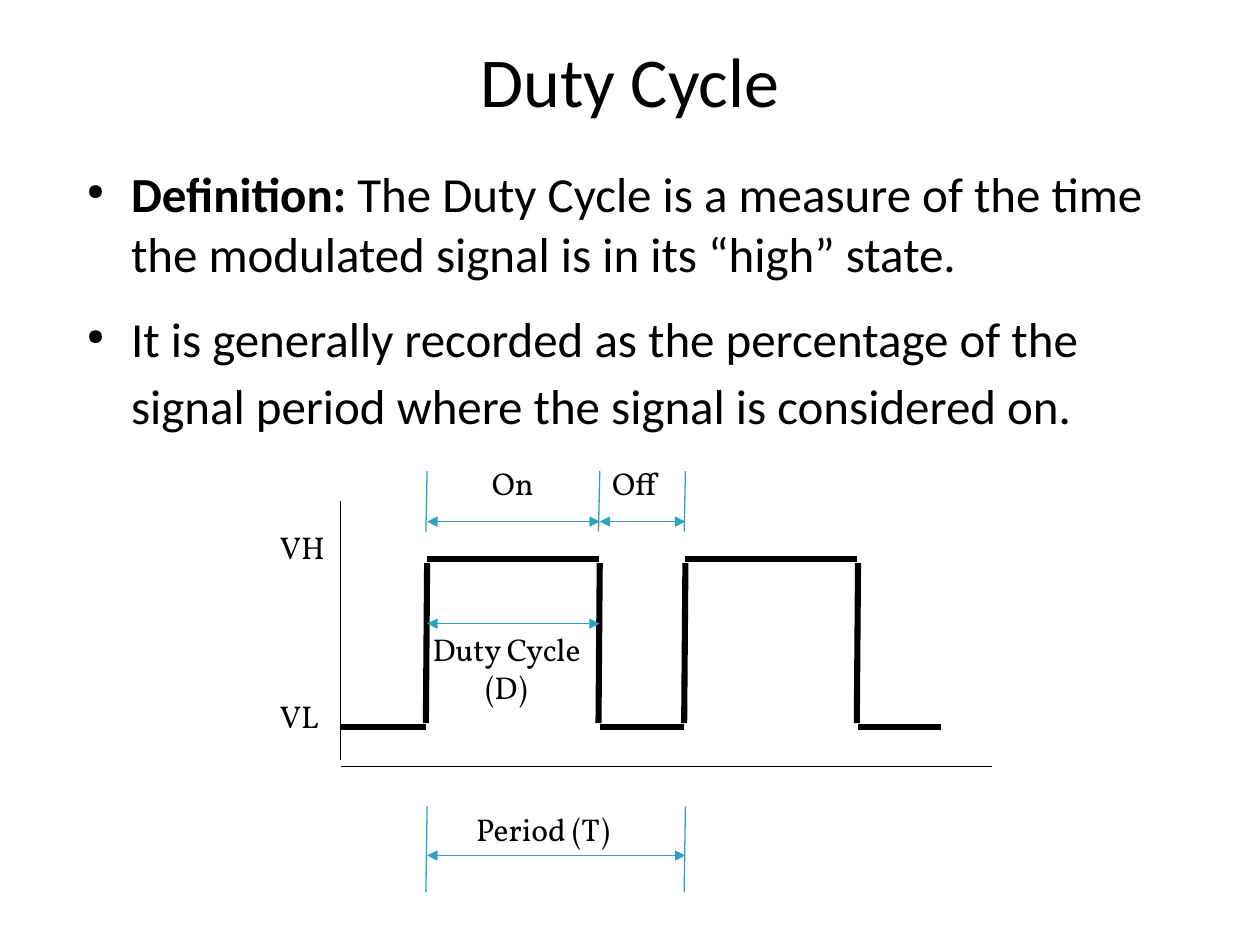
from dataclasses import dataclass, field
from typing import Any

from lxml import etree
from pptx import Presentation
from pptx.dml import color
from pptx.enum import shapes, text
from pptx.oxml import ns
from pptx import util as u

INK = {"black": "000000", "teal": "2DA2BF"}
LEFT, MID = text.PP_ALIGN.LEFT, text.PP_ALIGN.CENTER
STRAIGHT, ELBOW = shapes.MSO_CONNECTOR.STRAIGHT, shapes.MSO_CONNECTOR.ELBOW


@dataclass
class Run:
    words: str
    size: float
    font: str = "Calibri"
    bold: bool = False


@dataclass
class Para:
    runs: list[Run]
    align: Any = LEFT
    space: float = 1.0
    after: float = 0
    dot: bool = False


@dataclass
class Box:
    x: float
    y: float
    w: float
    h: float
    paras: list[Para] = field(default_factory=list)
    pad: tuple[float, float] = (0, 0)
    anchor: Any = text.MSO_ANCHOR.TOP


@dataclass
class Line:
    x1: float
    y1: float
    x2: float
    y2: float
    ink: str = "black"
    width: float = 3.5
    arrows: bool = False


def add_dot(para: Any) -> None:
    props = para._p.get_or_add_pPr()
    props.set("marL", str(u.Inches(0.47)))
    props.set("indent", str(u.Inches(-0.35)))
    tint = etree.SubElement(props, ns.qn("a:buClr"))
    etree.SubElement(tint, ns.qn("a:srgbClr"), val=INK["black"])
    etree.SubElement(props, ns.qn("a:buSzPct"), val="45000")
    etree.SubElement(props, ns.qn("a:buChar"), char="●")


def draw_box(slide: Any, box: Box) -> None:
    shape = slide.shapes.add_textbox(*map(u.Inches, (box.x, box.y, box.w, box.h)))
    frame = shape.text_frame
    frame.word_wrap = True
    frame.vertical_anchor = box.anchor
    frame.margin_left = frame.margin_right = u.Inches(box.pad[0])
    frame.margin_top = frame.margin_bottom = u.Inches(box.pad[1])
    for i, item in enumerate(box.paras):
        para = frame.add_paragraph() if i else frame.paragraphs[0]
        para.alignment = item.align
        para.line_spacing = item.space
        para.space_after = u.Pt(item.after)
        if item.dot:
            add_dot(para)
        for part in item.runs:
            run = para.add_run()
            run.text = part.words
            run.font.size = u.Pt(part.size)
            run.font.name = part.font
            run.font.bold = part.bold
            run.font.color.rgb = color.RGBColor.from_string(INK["black"])


def draw_line(slide: Any, line: Line) -> None:
    kind = ELBOW if line.arrows else STRAIGHT
    ends = map(u.Inches, (line.x1, line.y1, line.x2, line.y2))
    shape = slide.shapes.add_connector(kind, *ends)
    shape.line.color.rgb = color.RGBColor.from_string(INK[line.ink])
    shape.line.width = u.Pt(line.width)
    if line.arrows:
        stroke = shape.line._get_or_add_ln()
        for end in ("a:headEnd", "a:tailEnd"):
            etree.SubElement(stroke, ns.qn(end), type="triangle")
    etree.SubElement(shape._element.spPr, ns.qn("a:effectLst"))


def label(words: str, x: float, y: float, w: float, h: float = 0.4, align: Any = LEFT) -> Box:
    return Box(x, y, w, h, [Para([Run(words, 18, "Vollkorn")], align)], (0.1, 0.05))


def main() -> None:
    deck = Presentation()
    deck.slide_width, deck.slide_height = u.Inches(10), u.Inches(7.5)
    slide = deck.slides.add_slide(deck.slide_layouts[6])

    title = Para([Run("Duty Cycle", 40)], MID, 1.02)
    points = [
        [
            Run("Definition:", 28, bold=True),
            Run(" The Duty Cycle is a measure of the time the modulated signal is in its “high” state.", 28),
        ],
        [
            Run("It is generally recorded as the percentage of the signal period where the signal is considered on.", 28),
            Run(" ", 32),
        ],
    ]
    body = [Para(runs, space=1.02, after=14.2, dot=True) for runs in points]
    draw_box(slide, Box(0.5, 0.15, 9, 0.95, [title], anchor=text.MSO_ANCHOR.MIDDLE))
    draw_box(slide, Box(0.57, 1.29, 8.95, 2.44, body))

    start, rise, fall, next_rise, next_fall, stop = 2.71, 3.39, 4.76, 5.44, 6.81, 7.48
    high, low = 4.44, 5.77
    lows = [(start, rise), (fall, next_rise), (next_fall, stop)]
    highs = [(rise, fall), (next_rise, next_fall)]
    edges = (rise, fall, next_rise, next_fall)
    wave = [Line(a, low, b - 0.01, low) for a, b in lows]
    wave += [Line(a, high, b - 0.01, high) for a, b in highs]
    wave += [Line(x, 4.47, x - 0.01, 5.74) for x in edges]

    axes = [Line(start, 6.08, 7.87, 6.08, width=0.5), Line(2.7, 6.03, 2.7, 3.98, width=0.5)]

    ticks = [(x, 3.74, 4.22) for x in (rise, fall, next_rise)]
    ticks += [(x, 6.4, 7.08) for x in (rise, next_rise)]
    marks = [Line(x, top, x - 0.01, end, "teal", 0.75) for x, top, end in ticks]
    spans = [(rise, fall, 4.14), (fall, next_rise, 4.14), (rise, fall, 4.95), (rise, next_rise, 6.79)]
    marks += [Line(a, y, b, y, "teal", 0.75, True) for a, b, y in spans]

    for line in wave + axes + marks:
        draw_line(slide, line)

    labels = [
        label("On", rise, 3.63, 1.36, align=MID),
        label("Off", fall, 3.63, 0.68),
        label("VH", 2.12, 4.14, 0.68),
        label("VL", 2.12, 5.48, 0.68),
        label("Duty Cycle (D)", 3.29, 4.95, 1.46, 0.7, MID),
        label("Period (T)", 3.68, 6.38, 1.56),
    ]
    for box in labels:
        draw_box(slide, box)

    deck.save("out.pptx")


if __name__ == "__main__":
    main()
